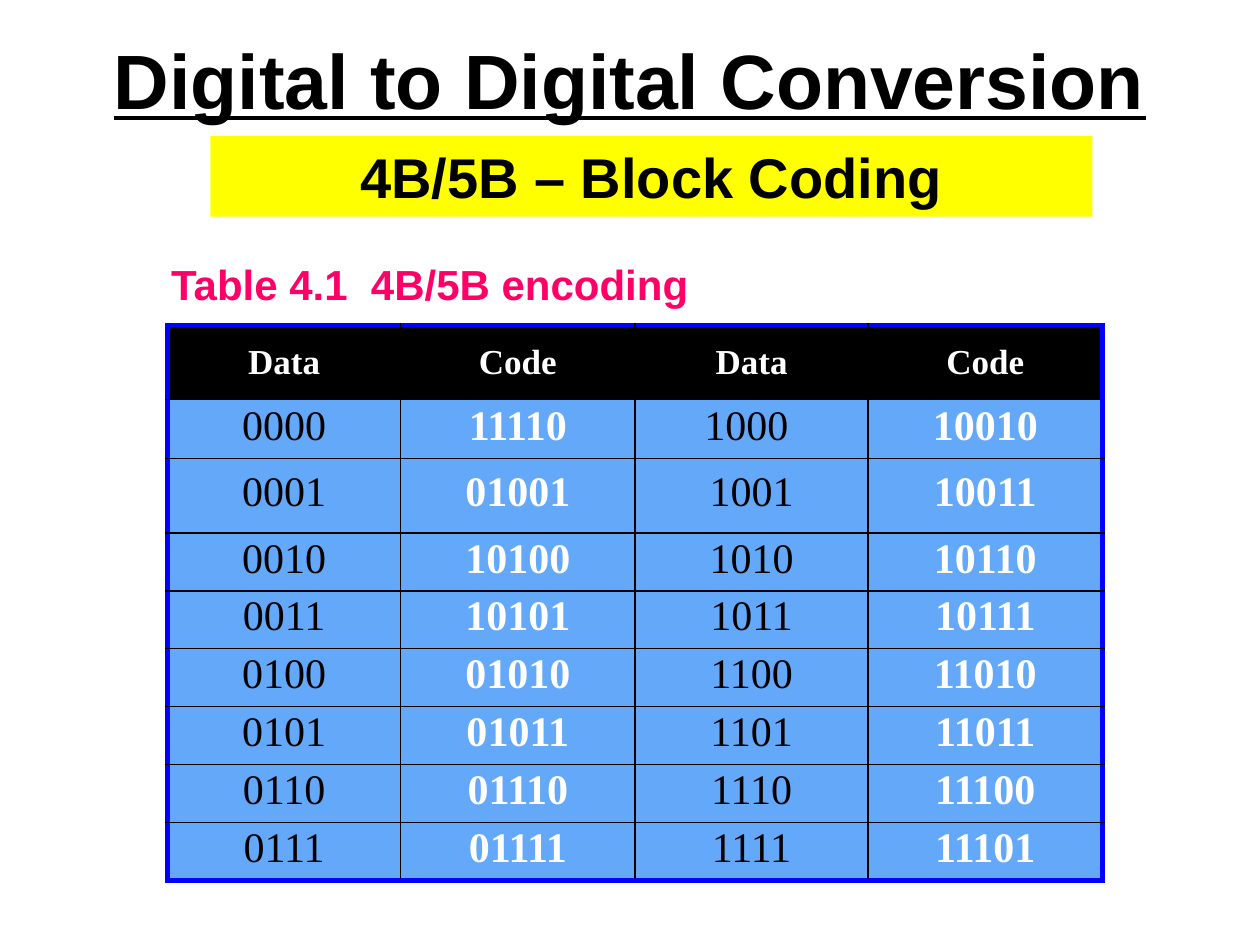
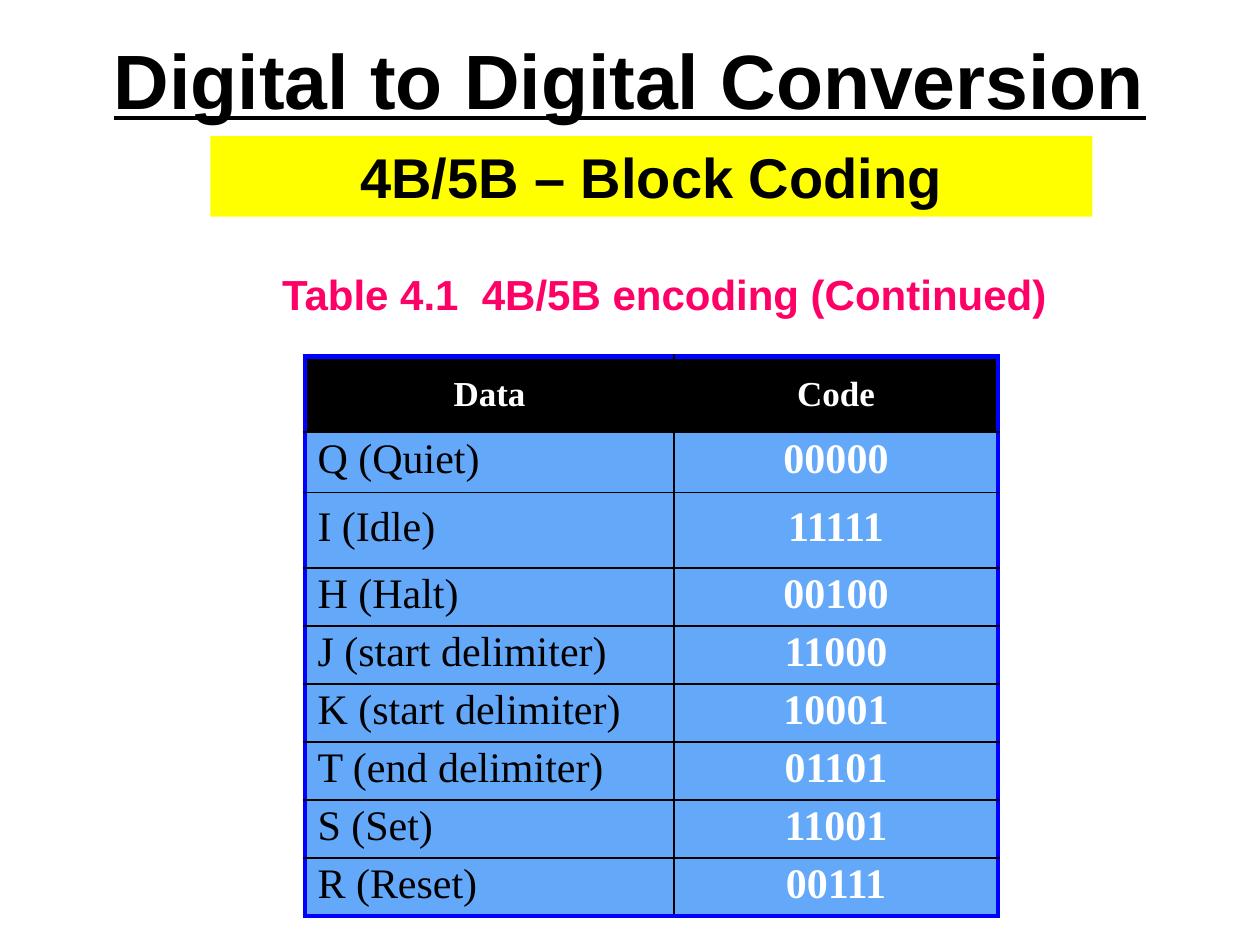
from dataclasses import dataclass

from lxml import etree
from pptx import Presentation
from pptx.dml.color import RGBColor
from pptx.enum.shapes import MSO_SHAPE
from pptx.enum.text import MSO_ANCHOR, MSO_AUTO_SIZE, PP_ALIGN
from pptx.oxml.ns import qn
from pptx.util import Pt

PX = 9144  # 100 px to the inch
BLANK_LAYOUT = 6
RECTANGLE = MSO_SHAPE.RECTANGLE
TOP, MIDDLE = MSO_ANCHOR.TOP, MSO_ANCHOR.MIDDLE
LEFT, CENTER = PP_ALIGN.LEFT, PP_ALIGN.CENTER
GROW = MSO_AUTO_SIZE.SHAPE_TO_FIT_TEXT


@dataclass(frozen=True)
class Theme:
    black: str = "000000"
    white: str = "FFFFFF"
    band: str = "FFFF00"
    caption: str = "FF0066"
    cell: str = "64A8FA"
    frame: str = "0000FF"
    heading_font: str = "Arial"
    table_font: str = "Times New Roman"
    title_size: int = 44
    band_size: int = 32
    caption_size: int = 24
    header_size: int = 20
    body_size: int = 24
    frame_width: int = 3
    grid_width: int = 1


THEME = Theme()

TITLE = {"name": THEME.heading_font, "size": Pt(THEME.title_size),
         "bold": True, "underline": True, "color": THEME.black}
BAND = {"name": THEME.heading_font, "size": Pt(THEME.band_size),
        "bold": True, "color": THEME.black}
CAPTION = {"name": THEME.heading_font, "size": Pt(THEME.caption_size),
           "bold": True, "color": THEME.caption}
HEADER_CELL = {"name": THEME.table_font, "size": Pt(THEME.header_size),
               "bold": True, "color": THEME.white}
DATA_CELL = {"name": THEME.table_font, "size": Pt(THEME.body_size),
             "bold": False, "color": THEME.black}
CODE_CELL = {**DATA_CELL, "bold": True, "color": THEME.white}

DATA_WORDS = [
    ["Data", "Code", "Data", "Code"],
    ["0000", "11110", "1000 ", "10010"],
    ["0001", "01001", "1001", "10011"],
    ["0010", "10100", "1010", "10110"],
    ["0011", "10101", "1011", "10111"],
    ["0100", "01010", "1100", "11010"],
    ["0101", "01011", "1101", "11011"],
    ["0110", "01110", "1110", "11100"],
    ["0111", "01111", "1111", "11101"],
]
CONTROL_WORDS = [
    ["Data", "Code"],
    ["Q (Quiet)", "00000"],
    ["I (Idle)", "11111"],
    ["H (Halt)", "00100"],
    ["J (start delimiter)", "11000"],
    ["K (start delimiter)", "10001"],
    ["T (end delimiter)", "01101"],
    ["S (Set)", "11001"],
    ["R (Reset)", "00111"],
]


def to_emu(*lengths):
    return [length * PX for length in lengths]


def write_text(text_frame, text, text_format, alignment, line_spacing=None):
    paragraph = text_frame.paragraphs[0]
    paragraph.alignment = alignment
    paragraph.line_spacing = line_spacing
    run = paragraph.add_run()
    run.text = text
    for attribute, value in text_format.items():
        if attribute == "color":
            run.font.color.rgb = RGBColor.from_string(value)
        else:
            setattr(run.font, attribute, value)


def fill_solid(target, color):
    target.fill.solid()
    target.fill.fore_color.rgb = RGBColor.from_string(color)


def add_text(slide, box, text, text_format, alignment=LEFT, **frame_format):
    shape = slide.shapes.add_textbox(*to_emu(*box))
    for attribute, value in frame_format.items():
        setattr(shape.text_frame, attribute, value)
    write_text(shape.text_frame, text, text_format, alignment)


def add_band(slide, box, text):
    band = slide.shapes.add_shape(RECTANGLE, *to_emu(*box))
    band.shadow.inherit = False
    fill_solid(band, THEME.band)
    band.line.fill.background()
    band.text_frame.word_wrap = True
    band.text_frame.auto_size = GROW
    write_text(band.text_frame, text, BAND, CENTER)


def set_borders(cell, outer_sides):
    """Draw the blue frame on the outer sides and the thin grid elsewhere."""
    properties = cell._tc.get_or_add_tcPr()
    for side, is_outer in outer_sides.items():
        color = THEME.frame if is_outer else THEME.black
        width = THEME.frame_width if is_outer else THEME.grid_width
        line = etree.SubElement(properties, qn(f"a:ln{side}"), w=str(Pt(width)))
        fill = etree.SubElement(line, qn("a:solidFill"))
        etree.SubElement(fill, qn("a:srgbClr"), val=color)


def add_code_table(slide, position, columns, rows, words, data_alignment):
    frame = slide.shapes.add_table(
        len(rows), len(columns), *to_emu(*position, sum(columns), sum(rows)))
    table = frame.table
    table.first_row = table.horz_banding = False
    for column, width in zip(table.columns, columns):
        column.width = width * PX
    for row, height in zip(table.rows, rows):
        row.height = height * PX

    for row_index, row_words in enumerate(words):
        for column_index, word in enumerate(row_words):
            cell = table.cell(row_index, column_index)
            is_header, is_code = row_index == 0, column_index % 2 == 1
            set_borders(cell, {
                "L": column_index == 0,
                "R": column_index == len(columns) - 1,
                "T": is_header,
                "B": row_index == len(rows) - 1,
            })
            fill_solid(cell, THEME.black if is_header else THEME.cell)
            cell.vertical_anchor = MIDDLE
            body_format = CODE_CELL if is_code else DATA_CELL
            write_text(cell.text_frame, word,
                       HEADER_CELL if is_header else body_format,
                       CENTER if is_header or is_code else data_alignment,
                       None if is_header else 0.8)


def add_topic_slide(presentation):
    slide = presentation.slides.add_slide(presentation.slide_layouts[BLANK_LAYOUT])
    add_text(slide, (75, 17, 850, 125), "Digital to Digital Conversion", TITLE,
             CENTER, word_wrap=True, vertical_anchor=TOP, margin_top=9 * PX)
    add_band(slide, (167, 108, 700, 64), "4B/5B – Block Coding")
    return slide


def main():
    presentation = Presentation()
    presentation.slide_width, presentation.slide_height = to_emu(1000, 750)

    # Data words
    slide = add_topic_slide(presentation)
    add_text(slide, (126, 200, 441, 50), "Table 4.1  4B/5B encoding", CAPTION,
             word_wrap=True, auto_size=GROW)
    add_code_table(slide, (133, 258), [185, 186] * 2, [59, 47, 59] + [46] * 6,
                   DATA_WORDS, CENTER)

    # Control words
    slide = add_topic_slide(presentation)
    add_text(slide, (214, 208, 632, 50), "Table 4.1  4B/5B encoding (Continued)",
             CAPTION, word_wrap=False, auto_size=GROW)
    add_code_table(slide, (242, 283), [293, 257], [60, 48, 60] + [46] * 6,
                   CONTROL_WORDS, LEFT)

    presentation.save("out.pptx")


if __name__ == "__main__":
    main()
